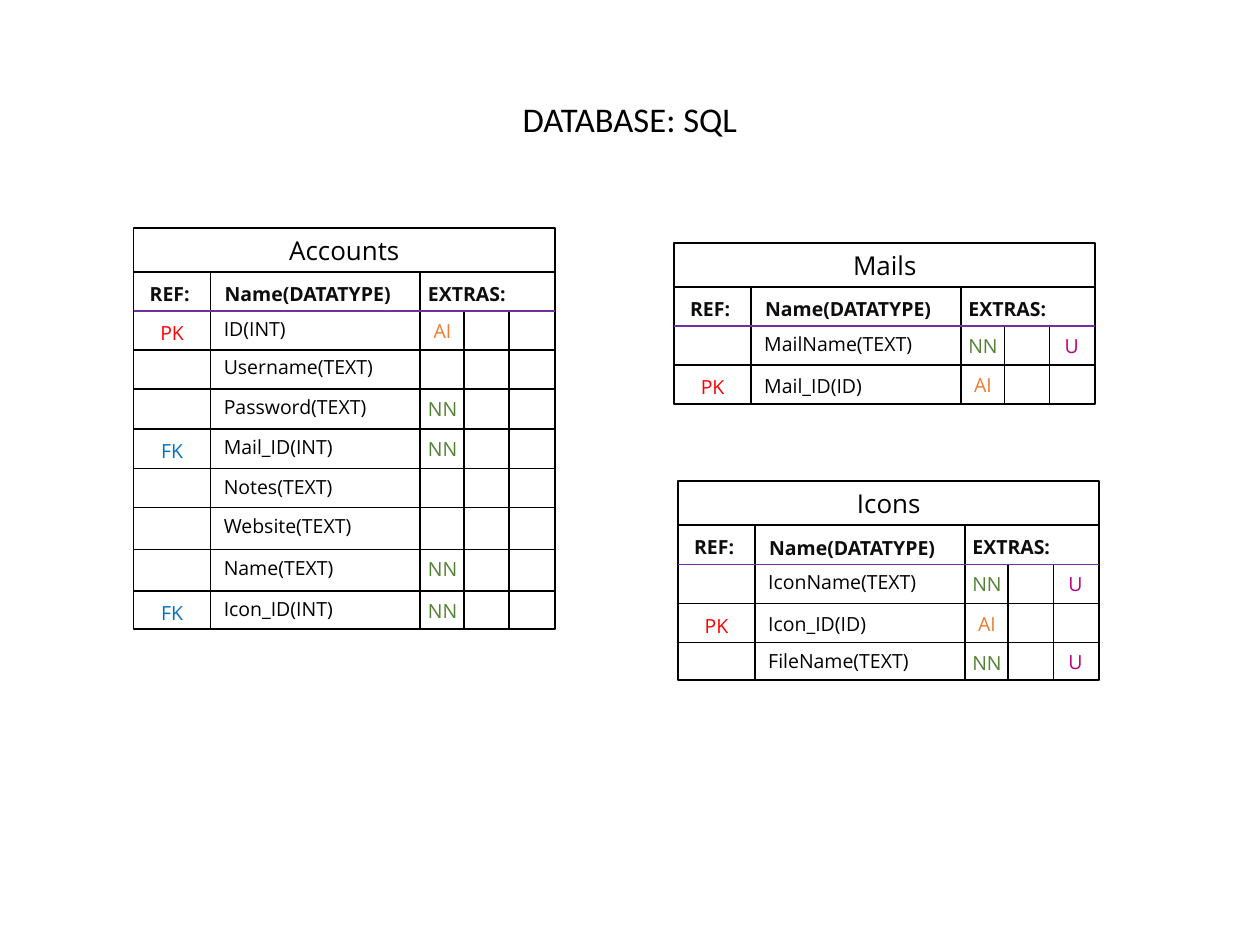
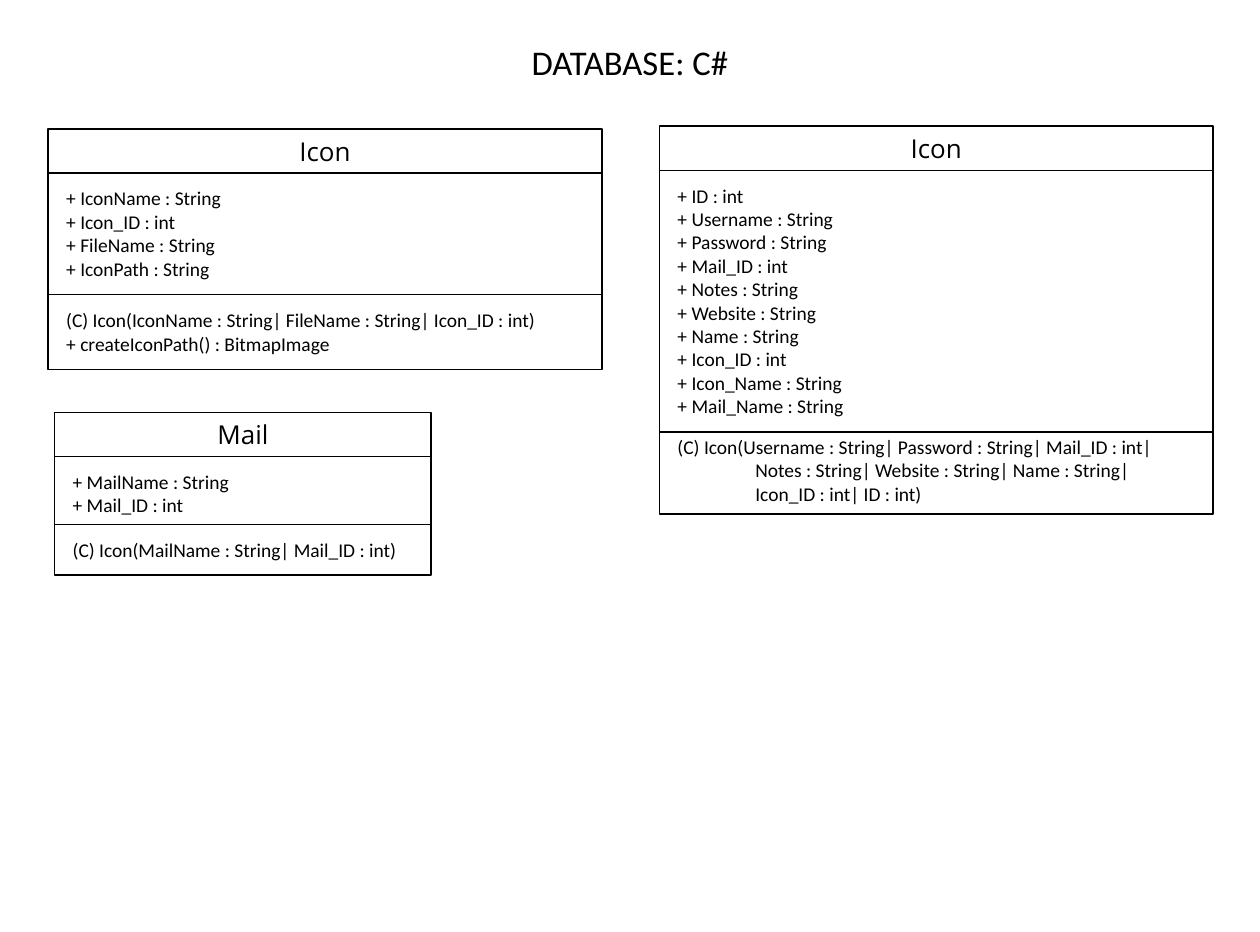
from pptx import Presentation
from pptx.dml.color import RGBColor
from pptx.enum.shapes import MSO_CONNECTOR as Connector, MSO_SHAPE as Shape
from pptx.enum.text import PP_ALIGN as Align
from pptx.oxml.ns import qn
from pptx.util import Cm, Pt
from lxml import etree

# Content: table name, left, top, rows of (key, column, first extra, last extra,
# row height, drop of the column text); lengths in cm
TABLES = [
    ("Accounts", 4.36, 7.43, [
        ("PK", "ID(INT)", "AI", "", 1.27, 0.08),
        ("", "Username(TEXT)", "", "", 1.27, 0.05),
        ("", "Password(TEXT)", "NN", "", 1.31, 0.08),
        ("FK", "Mail_ID(INT)", "NN", "", 1.28, 0.08),
        ("", "Notes(TEXT)", "", "", 1.27, 0.1),
        ("", "Website(TEXT)", "", "", 1.37, 0.1),
        ("", "Name(TEXT)", "NN", "", 1.35, 0.08),
        ("FK", "Icon_ID(INT)", "NN", "", 1.24, 0.08),
    ]),
    ("Mails", 21.99, 7.92, [
        ("", "MailName(TEXT)", "NN", "U", 1.27, 0.08),
        ("PK", "Mail_ID(ID)", "AI", "", 1.27, 0.17),
    ]),
    ("Icons", 22.12, 15.69, [
        ("", "IconName(TEXT)", "NN", "U", 1.28, 0.06),
        ("PK", "Icon_ID(ID)", "AI", "", 1.27, 0.15),
        ("", "FileName(TEXT)", "NN", "U", 1.22, 0.08),
    ]),
]

# Class name, (left, top, width, height), fields, offset of the methods line,
# drop of the methods text, methods as (text, indent)
CLASSES = [
    ("Icon", (1.57, 4.21, 18.06, 7.85),
     ["+ IconName : String", "+ Icon_ID : int", "+ FileName : String",
      "+ IconPath : String"],
     5.39, 0.33,
     [("(C) Icon(IconName : String| FileName : String| Icon_ID : int)", 0),
      ("+ createIconPath() : BitmapImage", 0)]),
    ("Mail", (1.78, 13.45, 12.29, 5.31),
     ["+ MailName : String", "+ Mail_ID : int"],
     3.66, 0.31,
     [("(C) Icon(MailName : String| Mail_ID : int)", 0)]),
    ("Icon", (21.51, 4.12, 18.06, 12.65),
     ["+ ID : int", "+ Username : String", "+ Password : String",
      "+ Mail_ID : int", "+ Notes : String", "+ Website : String",
      "+ Name : String", "+ Icon_ID : int", "+ Icon_Name : String",
      "+ Mail_Name : String"],
     9.98, -0.03,
     [("(C) Icon(Username : String| Password : String| Mail_ID : int|", 0),
      ("Notes : String| Website : String| Name : String|", 2.54),
      ("Icon_ID : int| ID : int)", 2.54)]),
]

# Shared look
PAGE_WIDTH, PAGE_HEIGHT = 41.1, 30.4
BLACK, HEADING, PURPLE = "000000", "0D0D0D", "7030A0"
TAG_COLOURS = {"PK": "FF0000", "FK": "0070C0", "AI": "ED7D31",
               "NN": "548235", "U": "B80083"}
HEAD_FONT, BODY_FONT = "Open Sans", "Calibri"
NAME_BAND = 1.44
TEXT_HEIGHT = 1.14
SIDE_MARGIN = 0.25

# Table grid, offsets from the table's left and top
TABLE_WIDTH = 13.74
NAME_COLUMN, EXTRA_1, EXTRA_2, EXTRA_3 = 2.51, 9.35, 10.77, 12.24
ROWS_TOP = 2.72
EXTRA_WIDTH = 1.45

deck = Presentation()
deck.slide_width, deck.slide_height = Cm(PAGE_WIDTH), Cm(PAGE_HEIGHT)


def colour(value):
    return RGBColor.from_string(value)


def add_text(page, lines, left, top, width, height=TEXT_HEIGHT, size=18,
             font=HEAD_FONT, ink=BLACK, bold=False, align=Align.LEFT,
             margin=SIDE_MARGIN):
    """Add a text box with one paragraph for each (text, indent)."""
    box = page.shapes.add_textbox(Cm(left), Cm(top), Cm(width), Cm(height))
    frame = box.text_frame
    frame.word_wrap = True
    frame.margin_left = frame.margin_right = Cm(margin)
    for number, (text, indent) in enumerate(lines):
        para = frame.paragraphs[0] if number == 0 else frame.add_paragraph()
        para.text = text
        para.alignment = align
        para.font.size, para.font.name, para.font.bold = Pt(size), font, bold
        para.font.color.rgb = colour(ink)
        if indent:
            para._p.get_or_add_pPr().set("marL", str(Cm(indent)))


def add_line(page, x1, y1, x2, y2, ink=BLACK):
    line = page.shapes.add_connector(
        Connector.STRAIGHT, Cm(x1), Cm(y1), Cm(x2), Cm(y2))
    line.line.color.rgb = colour(ink)
    line.line.width = Pt(1.5)
    etree.SubElement(line._element.spPr, qn("a:effectLst"))


def add_frame(page, name, left, top, width, height):
    """Outline with a name band at its top."""
    outline = page.shapes.add_shape(
        Shape.RECTANGLE, Cm(left), Cm(top), Cm(width), Cm(height))
    outline.shadow.inherit = False
    outline.fill.background()
    outline.line.color.rgb = colour(BLACK)
    outline.line.width = Pt(1.5)
    add_line(page, left, top + NAME_BAND, left + width, top + NAME_BAND)
    add_text(page, [(name, 0)], left, top + 0.09, width, 1.27, size=24,
             align=Align.CENTER)


def add_page(title, top):
    page = deck.slides.add_slide(deck.slide_layouts[6])
    width = 35.56
    add_text(page, [(title, 0)], (PAGE_WIDTH - width) / 2, top, width, 1.63,
             size=32, font=BODY_FONT, align=Align.CENTER)
    return page


def add_tag(page, tag, left, top, width):
    if tag:
        add_text(page, [(tag, 0)], left, top, width, ink=TAG_COLOURS[tag],
                 align=Align.CENTER, margin=0)


def add_database_table(page, name, left, top, rows):
    height = ROWS_TOP + sum(row[4] for row in rows)
    right, bottom = left + TABLE_WIDTH, top + height
    add_frame(page, name, left, top, TABLE_WIDTH, height)

    # Column lines; the extras split only below the headings
    for offset, start in [(NAME_COLUMN, NAME_BAND), (EXTRA_1, NAME_BAND),
                          (EXTRA_2, ROWS_TOP), (EXTRA_3, ROWS_TOP)]:
        add_line(page, left + offset, top + start, left + offset, bottom)

    # Headings
    for text, offset, drop, width, align in [
            ("REF:", -0.08, 1.63, NAME_COLUMN, Align.CENTER),
            ("Name(DATATYPE)", 2.72, 1.66, 6.78, Align.LEFT),
            ("EXTRAS:", EXTRA_1, 1.63, 4.39, Align.LEFT)]:
        add_text(page, [(text, 0)], left + offset, top + drop, width,
                 ink=HEADING, bold=True, align=align)

    # Rows, each with the line above it
    row_top = top + ROWS_TOP
    for number, (key, column, first, last, row_height, drop) in enumerate(rows):
        add_line(page, left, row_top, right, row_top,
                 BLACK if number else PURPLE)
        add_tag(page, key, left, row_top + 0.2, NAME_COLUMN)
        add_text(page, [(column, 0)], left + 2.69, row_top + drop, 6.65)
        add_tag(page, first, left + EXTRA_1, row_top + 0.14, EXTRA_WIDTH)
        add_tag(page, last, left + EXTRA_3, row_top + 0.13, EXTRA_WIDTH)
        row_top += row_height


def add_class(page, name, area, fields, split, drop, methods):
    left, top, width, height = area
    add_frame(page, name, left, top, width, height)
    add_line(page, left, top + split, left + width, top + split)
    for lines, offset in [([(field, 0) for field in fields], NAME_BAND + 0.31),
                          (methods, split + drop)]:
        add_text(page, lines, left + 0.34, top + offset, width - 1.11,
                 0.51 + 0.76 * len(lines), font=BODY_FONT)


# Slide 1: SQL tables
sql_page = add_page("DATABASE: SQL", 3.07)
for table in TABLES:
    add_database_table(sql_page, *table)

# Slide 2: C# classes
class_page = add_page("DATABASE: C#", 1.2)
for item in CLASSES:
    add_class(class_page, *item)

deck.save("out.pptx")
